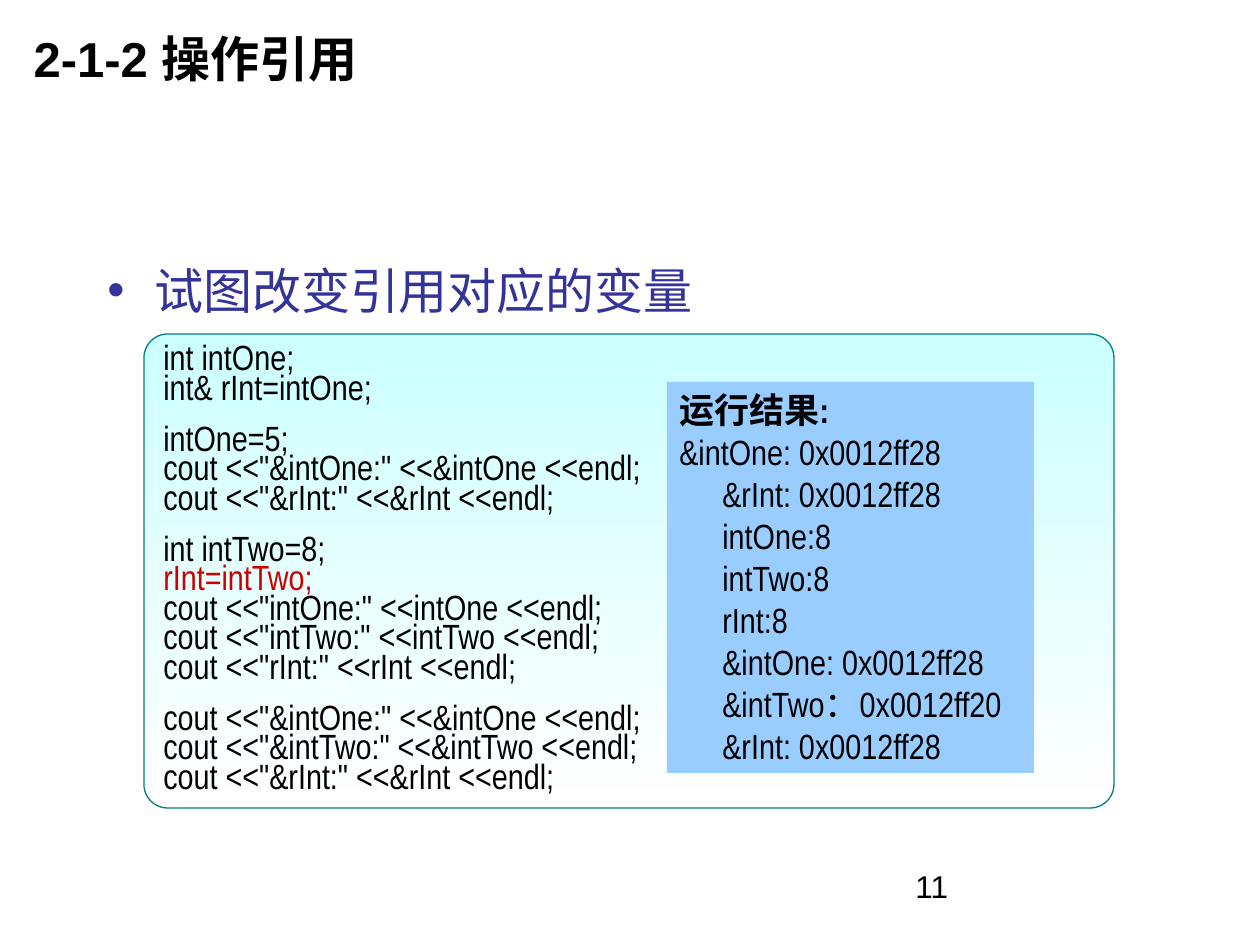
from dataclasses import dataclass

from lxml.etree import SubElement
from pptx import Presentation
from pptx.dml.color import RGBColor
from pptx.enum.shapes import MSO_SHAPE
from pptx.enum.text import MSO_ANCHOR, PP_ALIGN
from pptx.oxml.ns import qn
from pptx.util import Emu, Pt

PX = 914400 / 126


@dataclass(frozen=True)
class Theme:
    heading_font: str = "Arial"
    code_font: str = "Arial Narrow"
    heading_size: int = 28
    code_size: int = 20
    number_size: int = 18
    ink: str = "000000"
    bullet: str = "333399"
    accent: str = "CC0000"
    panel_top: str = "CCFFFF"
    panel_bottom: str = "FFFFFF"
    panel_line: str = "008080"
    result: str = "99CCFF"


@dataclass(frozen=True)
class Box:
    left: int
    top: int
    width: int
    height: int

    def emu(self) -> tuple:
        return tuple(px(v) for v in (self.left, self.top, self.width, self.height))


@dataclass(frozen=True)
class Line:
    text: str
    bold: bool = False
    indent: int = 0


THEME = Theme()

CODE_BLOCKS = [
    ["int intOne;", "int& rInt=intOne;"],
    ["intOne=5;", 'cout <<"&intOne:" <<&intOne <<endl;', 'cout <<"&rInt:" <<&rInt <<endl;'],
    ["int intTwo=8;", "rInt=intTwo;", 'cout <<"intOne:" <<intOne <<endl;',
     'cout <<"intTwo:" <<intTwo <<endl;', 'cout <<"rInt:" <<rInt <<endl;'],
    ['cout <<"&intOne:" <<&intOne <<endl;', 'cout <<"&intTwo:" <<&intTwo <<endl;',
     'cout <<"&rInt:" <<&rInt <<endl;'],
]
KEY_STATEMENT = "rInt=intTwo;"

RESULT_INDENT = 43
RESULTS = [Line("运行结果:", bold=True), Line("&intOne: 0x0012ff28")] + [
    Line(text, indent=RESULT_INDENT)
    for text in ("&rInt: 0x0012ff28", "intOne:8", "intTwo:8", "rInt:8",
                 "&intOne: 0x0012ff28", "&intTwo：0x0012ff20", "&rInt: 0x0012ff28")
]


def px(value: int) -> Emu:
    return Emu(round(value * PX))


def style(p, font: str, size: int, color: str, bold: bool = False) -> None:
    p.alignment = PP_ALIGN.LEFT
    for r in p.runs:
        r.font.name = font
        r.font.size = Pt(size)
        r.font.bold = bold
        r.font.color.rgb = RGBColor.from_string(color)


def add_label(s, box: Box, text: str, size: int, color: str):
    tf = s.shapes.add_textbox(*box.emu()).text_frame
    tf.word_wrap = True
    p = tf.paragraphs[0]
    p.text = text
    style(p, THEME.heading_font, size, color)
    return p


def add_panel(s, kind, box: Box, anchor):
    sp = s.shapes.add_shape(kind, *box.emu())
    sp.shadow.inherit = False
    sp.text_frame.vertical_anchor = anchor
    return sp


def next_paragraph(tf, index: int):
    return tf.add_paragraph() if index else tf.paragraphs[0]


def add_title(s, box: Box, text: str) -> None:
    sp = s.shapes.title
    sp.left, sp.top, sp.width, sp.height = box.emu()
    tf = sp.text_frame
    tf.text = text
    tf.vertical_anchor = MSO_ANCHOR.MIDDLE
    style(tf.paragraphs[0], THEME.heading_font, THEME.heading_size, THEME.ink, bold=True)


def add_bullet(s, box: Box, text: str) -> None:
    p = add_label(s, box, text, THEME.heading_size, THEME.bullet)
    pPr = p._p.get_or_add_pPr()
    pPr.set("marL", str(px(47)))
    pPr.set("indent", str(px(-47)))
    color = SubElement(pPr, qn("a:buClr"))
    SubElement(color, qn("a:srgbClr")).set("val", THEME.bullet)
    SubElement(pPr, qn("a:buFont")).set("typeface", THEME.heading_font)
    SubElement(pPr, qn("a:buChar")).set("char", "•")


def add_code(s, box: Box) -> None:
    sp = add_panel(s, MSO_SHAPE.ROUNDED_RECTANGLE, box, MSO_ANCHOR.TOP)
    sp.adjustments[0] = 0.05
    sp.fill.gradient()
    sp.fill.gradient_angle = 270
    for stop, color in zip(sp.fill.gradient_stops, (THEME.panel_top, THEME.panel_bottom)):
        stop.color.rgb = RGBColor.from_string(color)
    sp.line.color.rgb = RGBColor.from_string(THEME.panel_line)
    sp.line.width = Pt(0.75)
    for i, block in enumerate(CODE_BLOCKS):
        p = next_paragraph(sp.text_frame, i)
        p.text = "\v".join(block)
        p.line_spacing = 0.7
        p.space_before = Pt(12.5 if i else 0)
        style(p, THEME.code_font, THEME.code_size, THEME.ink)
        for r in p.runs:
            if r.text == KEY_STATEMENT:
                r.font.color.rgb = RGBColor.from_string(THEME.accent)


def add_results(s, box: Box) -> None:
    sp = add_panel(s, MSO_SHAPE.RECTANGLE, box, MSO_ANCHOR.MIDDLE)
    sp.fill.solid()
    sp.fill.fore_color.rgb = RGBColor.from_string(THEME.result)
    sp.line.fill.background()
    sp.text_frame.word_wrap = False
    for i, line in enumerate(RESULTS):
        p = next_paragraph(sp.text_frame, i)
        p.text = line.text
        style(p, THEME.code_font, THEME.code_size, THEME.ink, line.bold)
        if line.indent:
            p._p.get_or_add_pPr().set("marL", str(px(line.indent)))


def main() -> None:
    prs = Presentation()
    prs.slide_width, prs.slide_height = px(1260), px(945)
    s = prs.slides.add_slide(prs.slide_layouts[5])

    # Heading and topic
    add_title(s, Box(21, 0, 945, 116), "2-1-2 操作引用")
    add_bullet(s, Box(95, 254, 1071, 80), "试图改变引用对应的变量")

    # Program and its output
    add_code(s, Box(144, 334, 970, 474))
    add_results(s, Box(667, 382, 367, 391))

    # Slide number
    add_label(s, Box(903, 861, 294, 66), "11", THEME.number_size, THEME.ink)

    prs.save("out.pptx")


if __name__ == "__main__":
    main()
